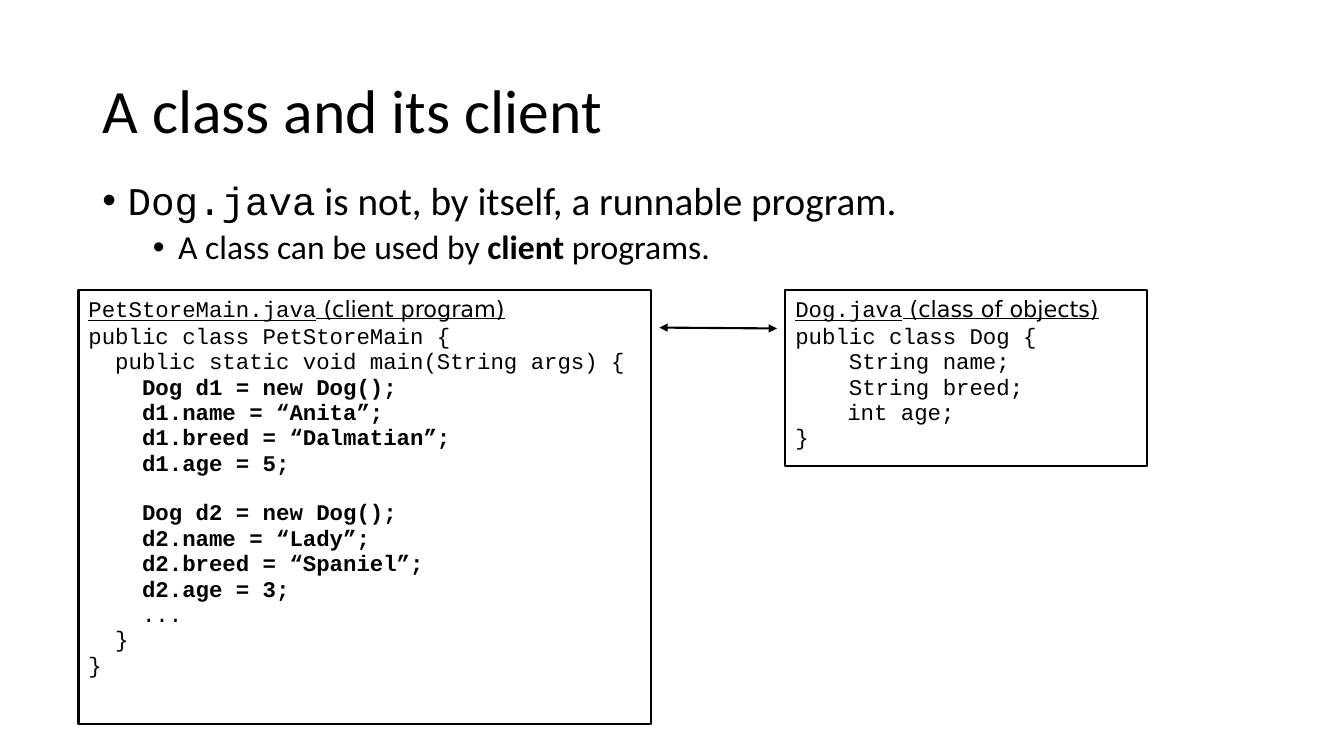
from pptx import Presentation
from pptx.dml.color import RGBColor
from pptx.enum.shapes import MSO_CONNECTOR, MSO_SHAPE
from pptx.enum.text import MSO_ANCHOR, MSO_AUTO_SIZE, PP_ALIGN
from pptx.oxml.ns import qn
from pptx.util import Inches, Pt
from lxml import etree

RECT = MSO_SHAPE.RECTANGLE
LINE = MSO_CONNECTOR.STRAIGHT
LEFT = PP_ALIGN.LEFT
TOP, MID = MSO_ANCHOR.TOP, MSO_ANCHOR.MIDDLE
FIXED = MSO_AUTO_SIZE.NONE

COLORS = {"ink": "000000"}
SANS, MONO, HEAD = "Calibri", "Courier New", "DejaVu Sans"
COLS, ROWS = 160, 90
EDGE = 1.5
CODE = 16
GAP = 8.5
PITCH = 17.5

CLIENT = """public class PetStoreMain {
  public static void main(String args) {
    Dog d1 = new Dog();
    d1.name = “Anita”;
    d1.breed = “Dalmatian”;
    d1.age = 5;
    Dog d2 = new Dog();
    d2.name = “Lady”;
    d2.breed = “Spaniel”;
    d2.age = 3;
    ...
  }
}""".split("\n")

DOG = """public class Dog {
    String name;
    String breed;
\t  int age;
}""".split("\n")


class Page:
    def __init__(self, deck):
        self.wide, self.high = deck.slide_width, deck.slide_height
        self.slide = deck.slides.add_slide(deck.slide_layouts[1])
        self.ink = RGBColor.from_string(COLORS["ink"])

    def spot(self, col, row):
        return int(self.wide * col / COLS), int(self.high * row / ROWS)

    def place(self, shape, area):
        shape.left, shape.top = self.spot(*area[:2])
        shape.width, shape.height = self.spot(*area[2:])

    def style(self, run, size, face, bold=False, under=False):
        font = run.font
        font.size, font.name = Pt(size), face
        font.bold, font.underline = bold, under
        font.color.rgb = self.ink

    def indent(self, para, left, mark=None):
        props = para._p.get_or_add_pPr()
        props.set("marL", str(Inches(left)))
        props.set("indent", str(Inches(-0.25)))
        if mark:
            font = etree.SubElement(props, qn("a:buFont"))
            font.set("typeface", "Arial")
            etree.SubElement(props, qn("a:buChar")).set("char", mark)

    def title(self, text, area):
        shape = self.slide.shapes.title
        self.place(shape, area)
        frame = shape.text_frame
        frame.text = text
        frame.auto_size, frame.vertical_anchor = FIXED, MID
        para = frame.paragraphs[0]
        para.alignment, para.line_spacing = LEFT, 0.9
        self.style(para.runs[0], 44, SANS)

    def body(self, items, area):
        shape = self.slide.placeholders[1]
        self.place(shape, area)
        frame = shape.text_frame
        frame.text = "\n" * (len(items) - 1)
        frame.auto_size = FIXED
        for level, (para, parts) in enumerate(zip(frame.paragraphs, items)):
            para.level = level
            para.line_spacing = 0.9
            para.space_before = Pt(10 - 5 * level)
            self.indent(para, 0.25 + 0.5 * level, "•")
            for text, face, bold in parts:
                run = para.add_run()
                run.text = text
                self.style(run, 28 - 4 * level, face, bold)

    def code(self, name, note, lines, area):
        shape = self.slide.shapes.add_shape(RECT, 0, 0, 0, 0)
        self.place(shape, area)
        shape.shadow.inherit = False
        shape.fill.background()
        shape.line.color.rgb, shape.line.width = self.ink, Pt(EDGE)
        frame = shape.text_frame
        frame.word_wrap, frame.vertical_anchor = True, TOP
        frame.text = "\n".join([name] + lines)
        first, *rest = frame.paragraphs
        first.add_run().text = note
        for run, face in zip(first.runs, (MONO, HEAD)):
            self.style(run, CODE, face, under=True)
        for para in rest:
            para.line_spacing = 0.5
            extra = PITCH if "Dog d2" in para.text else 0
            para.space_before = Pt(GAP + extra)
            bold = para.text.strip().startswith(("Dog d", "d1.", "d2."))
            for run in para.runs:
                self.style(run, CODE, MONO, bold)
        for para in frame.paragraphs:
            para.alignment = LEFT
            self.indent(para, 0.25)

    def arrow(self, start, end):
        link = self.slide.shapes.add_connector(
            LINE, *self.spot(*start), *self.spot(*end))
        link.line.color.rgb, link.line.width = self.ink, Pt(EDGE)
        stroke = link.line._get_or_add_ln()
        for tip in ("a:headEnd", "a:tailEnd"):
            etree.SubElement(stroke, qn(tip)).set("type", "triangle")
        etree.SubElement(link._element.spPr, qn("a:effectLst"))


def main():
    deck = Presentation()
    deck.slide_width, deck.slide_height = Inches(13.33), Inches(7.5)
    page = Page(deck)
    page.title("A class and its client", (11, 4.8, 138, 17.4))
    page.body([
        [("Dog.java", MONO, False),
         (" is not, by itself, a runnable program.", SANS, False)],
        [("A class can be used by ", SANS, False),
         ("client", SANS, True), (" programs.", SANS, False)],
    ], (11, 21, 138, 57.1))
    top = 34.5
    page.code("PetStoreMain.java", " (client program)", CLIENT,
              (9.35, top, 68.2, 51.7))
    page.code("Dog.java", " (class of objects)", DOG,
              (93.5, top, 43, 21))
    page.arrow((78.5, 39), (92.5, 39.1))
    deck.save("out.pptx")


if __name__ == "__main__":
    main()
